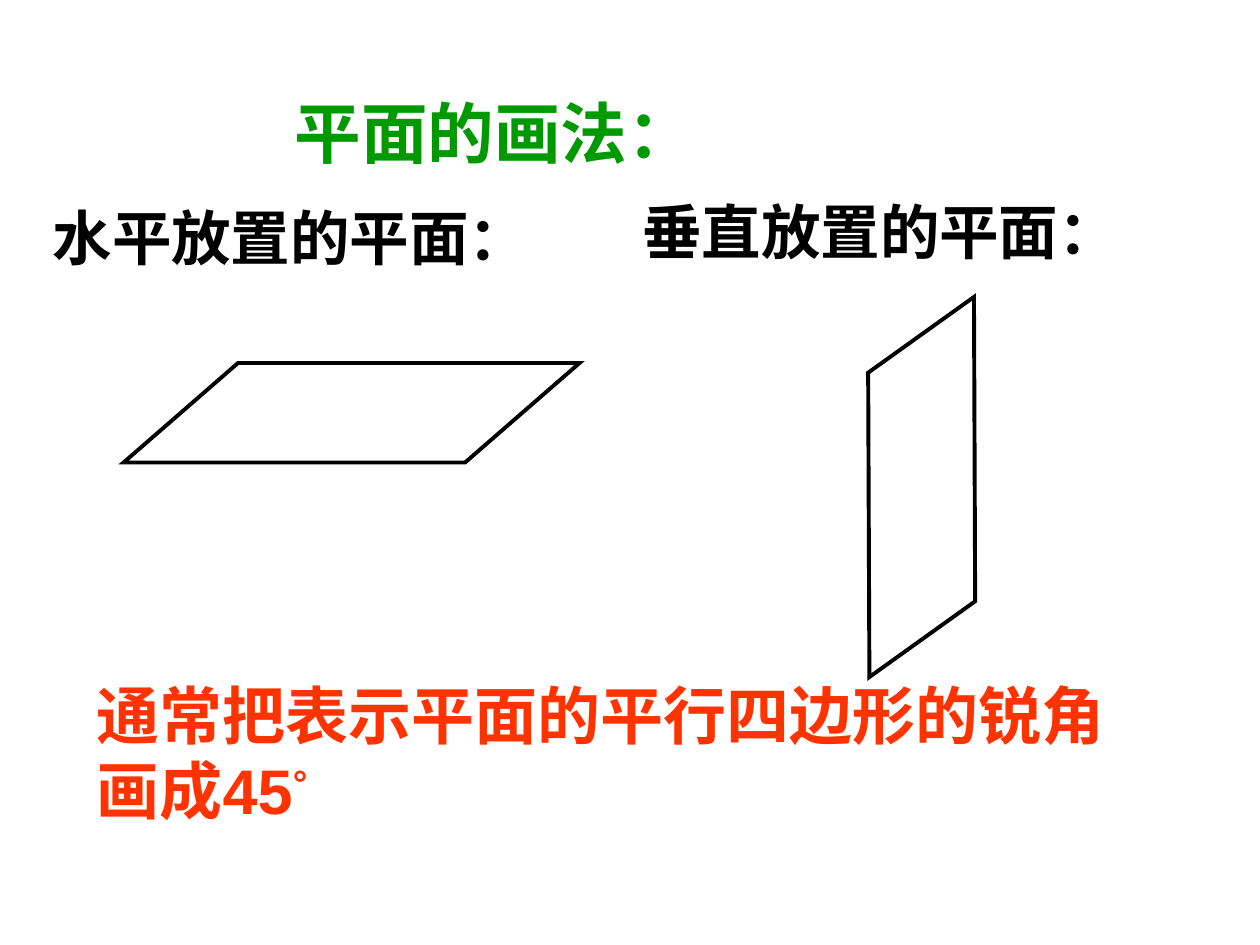
"""Build the slide on drawing horizontal and vertical planes."""
from lxml import etree
from pptx import Presentation
from pptx import util as u
from pptx.dml.color import RGBColor
from pptx.enum import shapes, text
from pptx.oxml.ns import qn

Pt = u.Pt
BLACK, GREEN, RED = "000000", "009900", "FF3300"
CJK = "Noto Sans CJK SC"


def color(value):
    return RGBColor.from_string(value)


def write(box, bounds, spans, size, fill, latin):
    box.left, box.top, box.width, box.height = [Pt(v) for v in bounds]
    frame = box.text_frame
    frame.word_wrap = True
    frame.auto_size = text.MSO_AUTO_SIZE.NONE
    frame.vertical_anchor = text.MSO_ANCHOR.TOP
    para = frame.paragraphs[0]
    para.alignment = text.PP_ALIGN.LEFT
    for content, baseline in spans:
        span = para.add_run()
        span.text = content
        font = span.font
        font.size, font.bold, font.name = Pt(size), True, latin
        font.color.rgb = color(fill)
        properties = span._r.get_or_add_rPr()
        etree.SubElement(properties, qn("a:ea")).set("typeface", CJK)
        if baseline:
            properties.set("baseline", str(baseline))


deck = Presentation()
deck.slide_width, deck.slide_height = Pt(720), Pt(540)
page = deck.slides.add_slide(deck.slide_layouts[5])

write(page.shapes.title, (161.3, 49, 532.8, 53.3),
      [("平面的画法：", 0)], 38, GREEN, CJK)

labels = [
    ((23, 111.6, 337, 48.2), [("水平放置的平面：", 0)], 34, BLACK),
    ((360, 108, 340.6, 48.2), [("垂直放置的平面：", 0)], 34, BLACK),
    ((48.2, 383, 595.4, 93.6),
     [("通常把表示平面的平行四边形的锐角画成45", 0), ("°", 30000)], 36, RED),
]
for bounds, spans, size, fill in labels:
    box = page.shapes.add_textbox(0, 0, 0, 0)
    write(box, bounds, spans, size, fill, "Arial")

planes = [
    ((70.6, 207.4, 260.6, 56.9), 1.15, 0),
    ((439.2, 207.4, 175, 141.8), 0.71, 324.4),
]
for bounds, slant, angle in planes:
    plane = page.shapes.add_shape(
        shapes.MSO_SHAPE.PARALLELOGRAM, *[Pt(v) for v in bounds])
    plane.adjustments[0] = slant
    plane.rotation = angle
    plane.shadow.inherit = False
    plane.fill.background()
    plane.line.color.rgb = color(BLACK)
    plane.line.width = Pt(2.25)
    outline = plane._element.spPr.find(qn("a:ln"))
    etree.SubElement(outline, qn("a:miter")).set("lim", "800000")

deck.save("out.pptx")
